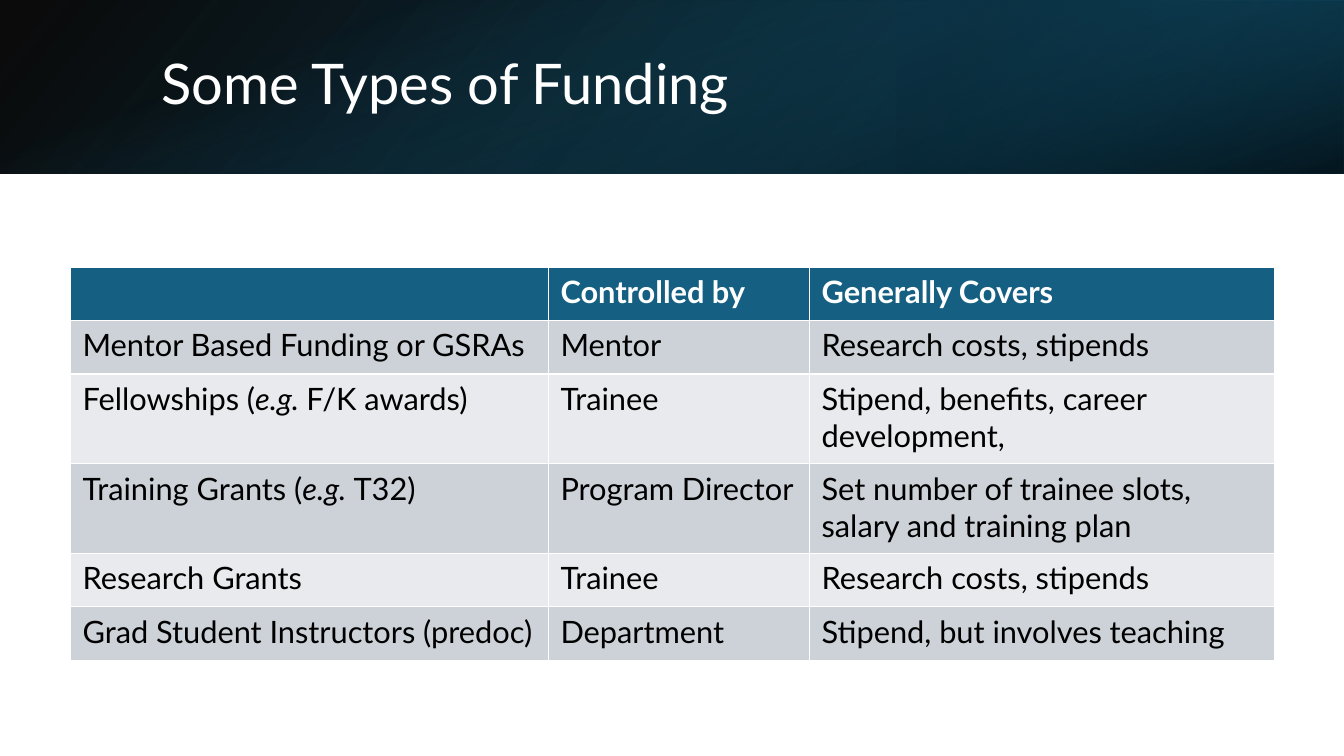
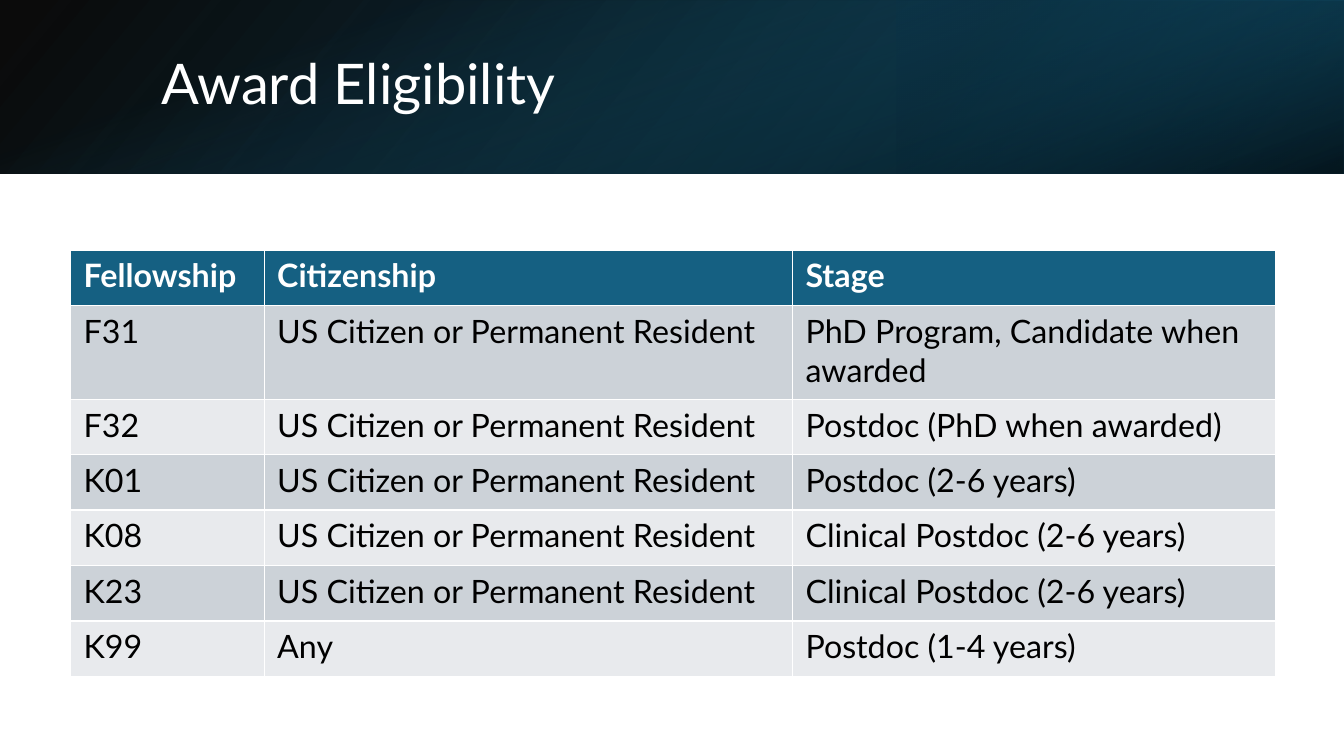
from lxml import etree
from pptx import Presentation
from pptx.dml.color import RGBColor
from pptx.enum.shapes import MSO_SHAPE
from pptx.enum.text import MSO_ANCHOR, MSO_AUTO_SIZE, PP_ALIGN
from pptx.oxml import parse_xml
from pptx.util import Inches, Pt

RECTANGLE = MSO_SHAPE.RECTANGLE
MIDDLE = MSO_ANCHOR.MIDDLE
NO_AUTOFIT = MSO_AUTO_SIZE.NONE
LEFT = PP_ALIGN.LEFT

BLACK = RGBColor(0x00, 0x00, 0x00)
WHITE = RGBColor(0xFF, 0xFF, 0xFF)
TEAL = RGBColor(0x15, 0x60, 0x82)
DEEP_TEAL = RGBColor(0x10, 0x48, 0x62)
NIGHT_TEAL = RGBColor(0x0B, 0x30, 0x41)
GREY = RGBColor(0xCC, 0xD2, 0xD8)
PALE_GREY = RGBColor(0xE8, 0xEA, 0xED)

FONT = "Lato"
DRAWING = "http://schemas.openxmlformats.org/drawingml/2006/main"
SLIDE_WIDTH, SLIDE_HEIGHT = 13.33, 7.5
BAND_HEIGHT = 1.72
TABLE_LEFT = 0.7
TITLE_BOX = {"left": 1.5, "top": 0.38, "width": 10.98, "height": 0.96}
TITLE_FONT = {"name": FONT, "size": Pt(40)}
ITALIC_PHRASE = "e.g. "

BAND_LAYERS = [
    {"box": (0, 0, SLIDE_WIDTH, BAND_HEIGHT), "rotation": 0, "flip": True,
     "angle": 140, "stops": [(0, BLACK, 96), (100, DEEP_TEAL, 100)]},
    {"box": (8.89, 0, 4.44, BAND_HEIGHT), "rotation": 180, "flip": True,
     "angle": 320, "stops": [(19, NIGHT_TEAL, 68), (100, TEAL, 79)]},
    {"box": (5.8, -5.8, BAND_HEIGHT, SLIDE_WIDTH), "rotation": 90, "flip": False,
     "angle": 340, "stops": [(23, TEAL, 0), (99, BLACK, 74)]},
]

RESIDENT = "US Citizen or Permanent Resident"
SLIDES = [
    {"title": "Some Types of Funding", "top": 2.65, "size": 22, "margin": 0.12,
     "columns": [4.74, 2.59, 4.61], "row_height": 0.53, "tall_height": 0.89,
     "tall_rows": {2, 3},
     "rows": [
         ("", "Controlled by", "Generally Covers"),
         ("Mentor Based Funding or GSRAs", "Mentor", "Research costs, stipends"),
         ("Fellowships (e.g. F/K awards)", "Trainee",
          "Stipend, benefits, career development,"),
         ("Training Grants (e.g. T32)", "Program Director",
          "Set number of trainee slots, salary and training plan"),
         ("Research Grants", "Trainee", "Research costs, stipends"),
         ("Grad Student Instructors (predoc)", "Department",
          "Stipend, but involves teaching"),
     ]},
    {"title": "Award Eligibility", "top": 2.48, "size": 23, "margin": 0.13,
     "columns": [1.92, 5.24, 4.79], "row_height": 0.55, "tall_height": 0.93,
     "tall_rows": {1},
     "rows": [
         ("Fellowship", "Citizenship", "Stage"),
         ("F31", RESIDENT, "PhD Program, Candidate when awarded"),
         ("F32", RESIDENT, "Postdoc (PhD when awarded)"),
         ("K01", RESIDENT, "Postdoc (2-6 years)"),
         ("K08", RESIDENT, "Clinical Postdoc (2-6 years)"),
         ("K23", RESIDENT, "Clinical Postdoc (2-6 years)"),
         ("K99", "Any", "Postdoc (1-4 years)"),
     ]},
]


def set_attributes(target, values):
    for name, value in values.items():
        setattr(target, name, value)


def format_font(font, color, values):
    set_attributes(font, values)
    font.color.rgb = color


def fill_gradient(shape, stops, angle):
    shape.fill.background()
    properties = shape._element.spPr
    gradient = parse_xml(
        f'<a:gradFill xmlns:a="{DRAWING}" rotWithShape="1"><a:gsLst/>'
        f'<a:lin ang="{angle * 60000}" scaled="0"/></a:gradFill>')
    for position, color, opacity in stops:
        stop = etree.SubElement(gradient[0], f"{{{DRAWING}}}gs", pos=str(position * 1000))
        tint = etree.SubElement(stop, f"{{{DRAWING}}}srgbClr", val=str(color))
        etree.SubElement(tint, f"{{{DRAWING}}}alpha", val=str(opacity * 1000))
    properties.replace(properties.find(f"{{{DRAWING}}}noFill"), gradient)


def add_band(slide):
    title = slide.shapes.title._element
    for layer in BAND_LAYERS:
        shape = slide.shapes.add_shape(RECTANGLE, *map(Inches, layer["box"]))
        shape.shadow.inherit = False
        shape.line.fill.background()
        shape.rotation = layer["rotation"]
        fill_gradient(shape, layer["stops"], layer["angle"])
        if layer["flip"]:
            shape._element.spPr.xfrm.set("flipH", "1")
        title.addprevious(shape._element)


def format_title(slide, text):
    title = slide.shapes.title
    set_attributes(title, {side: Inches(value) for side, value in TITLE_BOX.items()})
    frame = title.text_frame
    frame.text = text
    set_attributes(frame, {"vertical_anchor": MIDDLE, "auto_size": NO_AUTOFIT,
                           "word_wrap": True})
    paragraph = frame.paragraphs[0]
    set_attributes(paragraph, {"alignment": LEFT, "line_spacing": 0.9})
    format_font(paragraph.runs[0].font, WHITE, TITLE_FONT)


def fill_cell(cell, text, row_index, content):
    header = row_index == 0
    margin = Inches(content["margin"])
    set_attributes(cell, {"margin_left": margin, "margin_right": margin,
                          "margin_top": Inches(0.06), "margin_bottom": Inches(0.06)})
    cell.fill.solid()
    cell.fill.fore_color.rgb = TEAL if header else GREY if row_index % 2 else PALE_GREY
    paragraph = cell.text_frame.paragraphs[0]
    for part in filter(None, text.partition(ITALIC_PHRASE)):
        run = paragraph.add_run()
        run.text = part
        format_font(run.font, WHITE if header else BLACK,
                    {"name": FONT, "size": Pt(content["size"]), "bold": header,
                     "italic": part == ITALIC_PHRASE})


def add_content_table(slide, content):
    rows, columns = content["rows"], content["columns"]
    heights = [content["tall_height" if index in content["tall_rows"] else "row_height"]
               for index in range(len(rows))]
    table = slide.shapes.add_table(
        len(rows), len(columns), Inches(TABLE_LEFT), Inches(content["top"]),
        Inches(sum(columns)), Inches(sum(heights))).table
    for column, width in zip(table.columns, columns):
        column.width = Inches(width)
    for row_index, (row, height, texts) in enumerate(zip(table.rows, heights, rows)):
        row.height = Inches(height)
        for cell, text in zip(row.cells, texts):
            fill_cell(cell, text, row_index, content)


def main():
    presentation = Presentation()
    presentation.slide_width = Inches(SLIDE_WIDTH)
    presentation.slide_height = Inches(SLIDE_HEIGHT)
    title_only = presentation.slide_layouts.get_by_name("Title Only")
    for content in SLIDES:
        slide = presentation.slides.add_slide(title_only)
        add_band(slide)
        format_title(slide, content["title"])
        add_content_table(slide, content)
    presentation.save("out.pptx")


if __name__ == "__main__":
    main()
